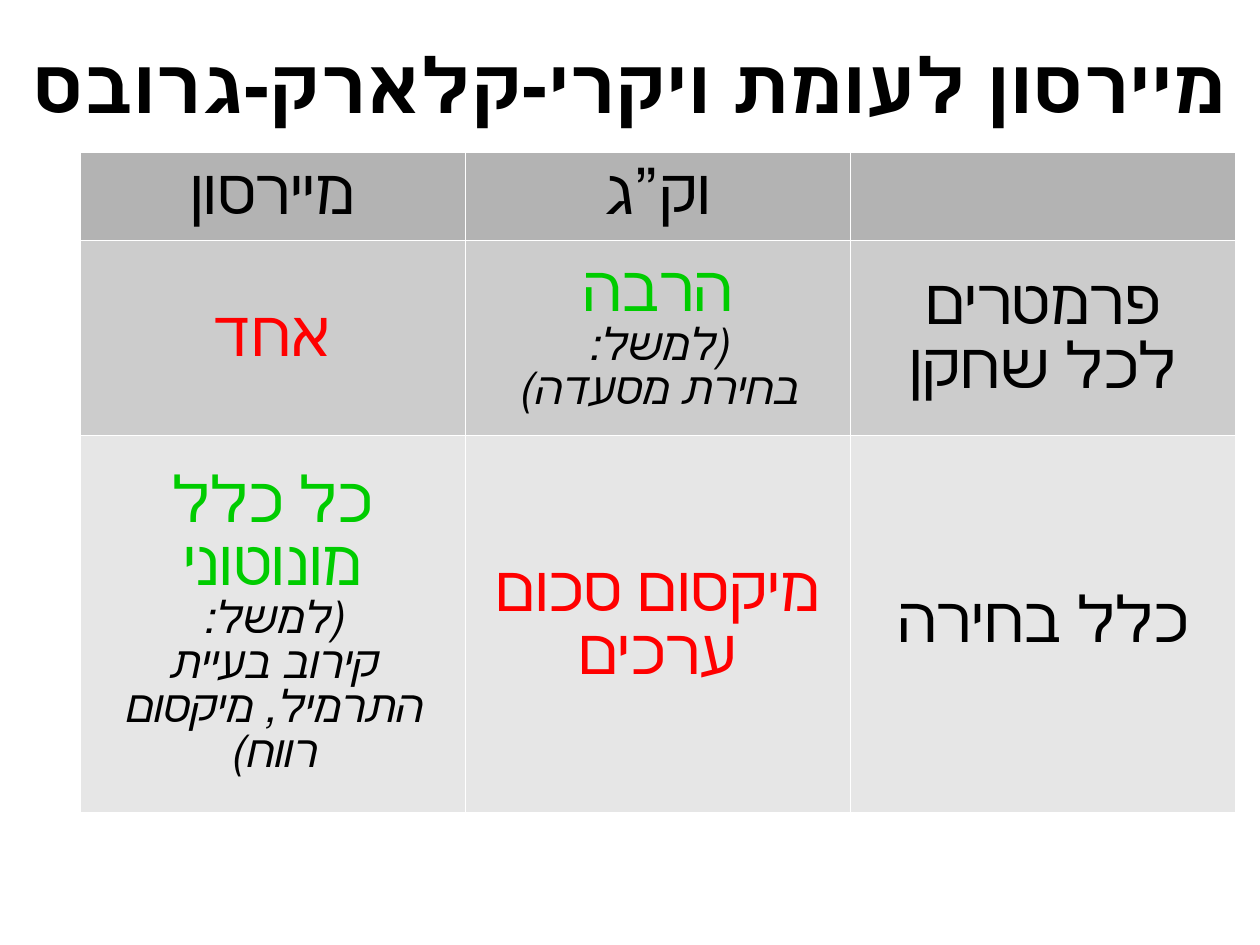
from lxml import etree
from pptx import Presentation
from pptx.dml.color import RGBColor
from pptx.enum.text import MSO_ANCHOR, PP_ALIGN
from pptx.oxml.ns import qn
from pptx.util import Inches, Pt

MIDDLE = MSO_ANCHOR.MIDDLE
CENTER = PP_ALIGN.CENTER
FONT = "Arial"
BLACK = RGBColor(0x00, 0x00, 0x00)
WHITE = RGBColor(0xFF, 0xFF, 0xFF)
RED = RGBColor(0xFF, 0x00, 0x00)
GREEN = RGBColor(0x00, 0xCC, 0x00)
SHADES = [RGBColor(0xB3, 0xB3, 0xB3), RGBColor(0xCC, 0xCC, 0xCC), RGBColor(0xE6, 0xE6, 0xE6)]
HEIGHTS = [0.75, 1.71, 3.3]
WIDTH = 3.37
ROWS = [
    [("מיירסון", BLACK, ""), ("וק”ג", BLACK, ""), ("", BLACK, "")],
    [
        ("אחד", RED, ""),
        ("הרבה", GREEN, "(למשל:\vבחירת מסעדה)"),
        ("פרמטרים לכל שחקן", BLACK, ""),
    ],
    [
        ("כל כלל מונוטוני", GREEN, "(למשל:\vקירוב בעיית התרמיל, מיקסום רווח)"),
        ("מיקסום סכום ערכים", RED, ""),
        ("כלל בחירה", BLACK, ""),
    ],
]


def write(para, text, size, color, bold=False, italic=False):
    para.text = text
    para.alignment = CENTER
    para._p.get_or_add_pPr().set("rtl", "1")
    for run in para.runs:
        font = run.font
        font.name = FONT
        font.size = Pt(size)
        font.bold = bold
        font.italic = italic
        font.color.rgb = color


def add_title(slide, text):
    box = slide.shapes.add_textbox(Inches(0), Inches(0.14), Inches(11.02), Inches(1.18))
    frame = box.text_frame
    frame.word_wrap = True
    frame.vertical_anchor = MIDDLE
    frame.margin_left = frame.margin_right = Inches(0)
    frame.margin_top = frame.margin_bottom = Inches(0)
    write(frame.paragraphs[0], text, 48, BLACK, bold=True)


def add_edges(cell):
    props = cell._tc.get_or_add_tcPr()
    for place, side in enumerate(("lnL", "lnR", "lnT", "lnB")):
        line = etree.Element(qn("a:" + side), w=str(Pt(0.06)))
        fill = etree.SubElement(line, qn("a:solidFill"))
        etree.SubElement(fill, qn("a:srgbClr"), val=str(WHITE))
        props.insert(place, line)


def fill_cell(cell, shade, text, color, note):
    cell.fill.solid()
    cell.fill.fore_color.rgb = shade
    cell.vertical_anchor = MIDDLE
    add_edges(cell)
    frame = cell.text_frame
    if text:
        write(frame.paragraphs[0], text, 40, color)
    if note:
        write(frame.add_paragraph(), note, 28, BLACK, italic=True)


def add_grid(slide):
    frame = slide.shapes.add_table(
        len(ROWS), len(ROWS[0]), Inches(0.7), Inches(1.33),
        Inches(WIDTH * len(ROWS[0])), Inches(sum(HEIGHTS)),
    )
    table = frame.table
    for column in table.columns:
        column.width = Inches(WIDTH)
    for r, (row, height, shade) in enumerate(zip(ROWS, HEIGHTS, SHADES)):
        table.rows[r].height = Inches(height)
        for c, entry in enumerate(row):
            fill_cell(table.cell(r, c), shade, *entry)


def main():
    deck = Presentation()
    deck.slide_width = Inches(28 / 2.54)
    deck.slide_height = Inches(21 / 2.54)
    deck.element.sldSz.attrib.pop("type", None)
    slide = deck.slides.add_slide(deck.slide_layouts[6])
    add_title(slide, "מיירסון לעומת ויקרי-קלארק-גרובס")
    add_grid(slide)
    deck.save("out.pptx")


if __name__ == "__main__":
    main()
